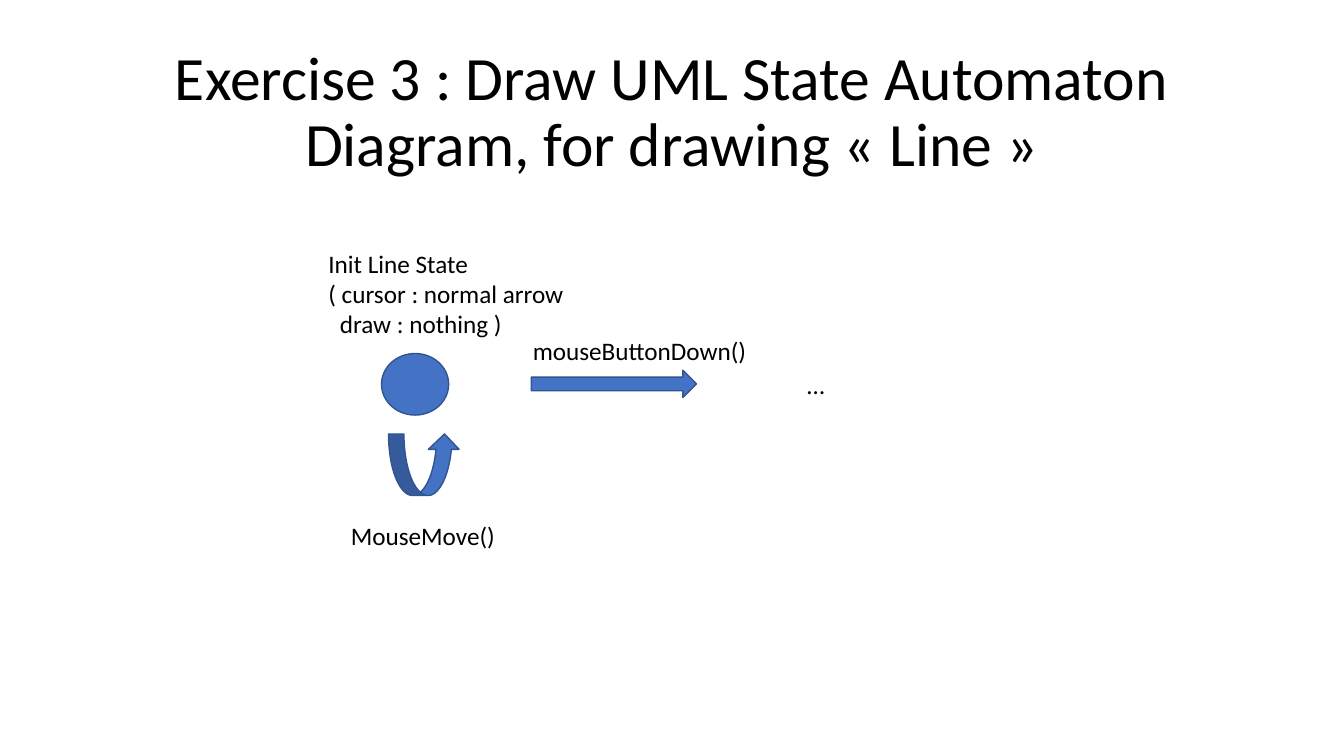
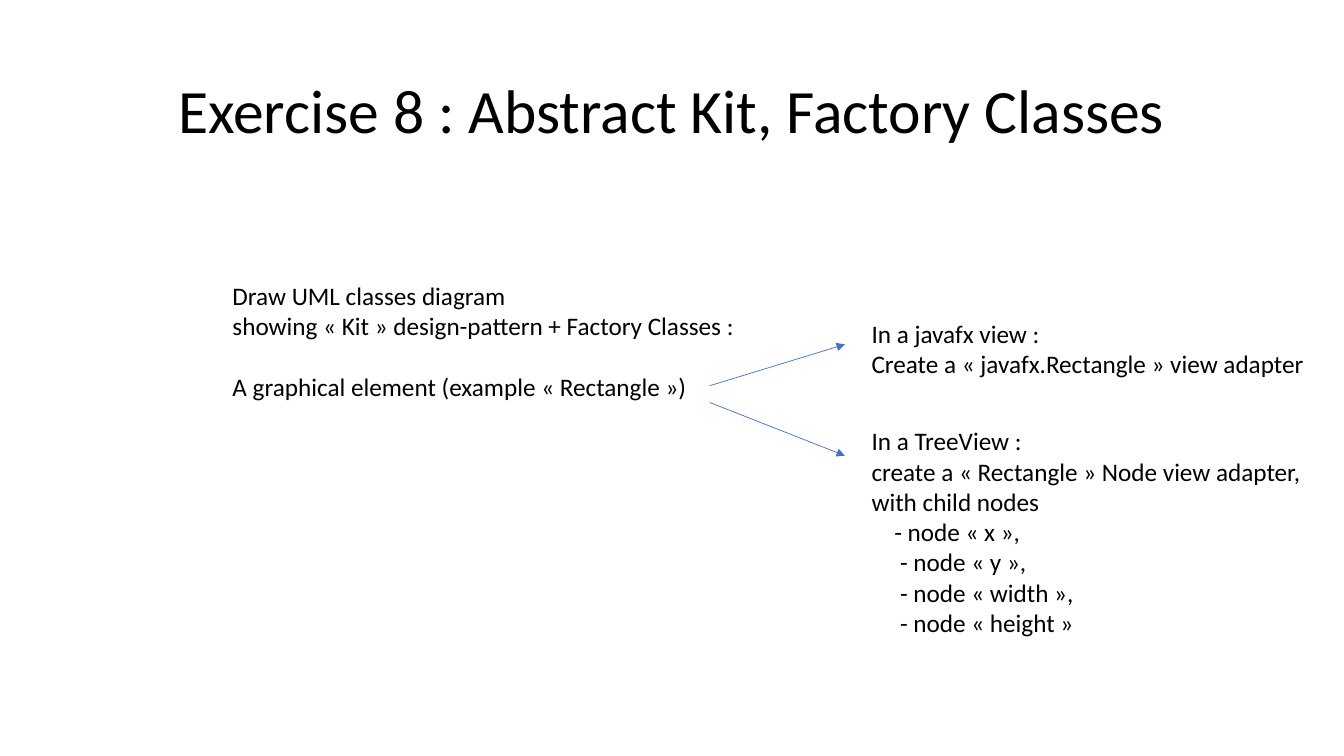
import pptx
import pptx.util
import pptx.dml.color
import pptx.enum.shapes
import pptx.enum.text
import pptx.oxml
import pptx.oxml.ns

Pt = pptx.util.Pt
FORMS = pptx.enum.shapes.MSO_SHAPE
FONT = "Calibri"
INK = "000000"
BLUE = "4472C4"
EDGE = "325491"
LINE = 22
SPACE = 4.07


def paint(part, hue):
    part.rgb = pptx.dml.color.RGBColor.from_string(hue)


def style(para, size):
    for run in para.runs:
        run.font.name = FONT
        run.font.size = Pt(size)
        paint(run.font.color, INK)


def start(deck, text):
    slide = deck.slides.add_slide(deck.slide_layouts[5])
    title = slide.shapes.title
    title.left, title.top, title.width, title.height = map(Pt, (66, 28.75, 828, 104.4))
    frame = title.text_frame
    frame.text = text
    frame.vertical_anchor = pptx.enum.text.MSO_ANCHOR.MIDDLE
    para = frame.paragraphs[0]
    para.alignment = pptx.enum.text.PP_ALIGN.CENTER
    para.line_spacing = 0.9
    style(para, 44)
    return slide


def label(slide, box, lines, indents={}, gaps={}):
    frame = slide.shapes.add_textbox(*map(Pt, box)).text_frame
    frame.word_wrap = True
    frame.text = "\n".join(lines)
    for row, para in enumerate(frame.paragraphs):
        style(para, 18)
        if row in indents:
            props = para._p.get_or_add_pPr()
            props.set("marL", str(Pt(indents[row] * SPACE)))
            props.set("indent", "0")
        if row in gaps:
            para.space_before = Pt(gaps[row])


def solid(slide, form, box):
    shape = slide.shapes.add_shape(form, *map(Pt, box))
    shape.shadow.inherit = False
    shape.fill.solid()
    paint(shape.fill.fore_color, BLUE)
    paint(shape.line.color, EDGE)
    shape.line.width = Pt(1)


def arrow(slide, x1, y1, x2, y2):
    kind = pptx.enum.shapes.MSO_CONNECTOR.STRAIGHT
    link = slide.shapes.add_connector(kind, *map(Pt, (x1, y1, x2, y2)))
    paint(link.line.color, BLUE)
    link.line.width = Pt(0.5)
    tip = pptx.oxml.parse_xml(
        "<a:tailEnd %s type='triangle'/>" % pptx.oxml.ns.nsdecls("a"))
    link.line._get_or_add_ln().append(tip)
    flat = pptx.oxml.parse_xml("<a:effectLst %s/>" % pptx.oxml.ns.nsdecls("a"))
    link._element.spPr.append(flat)


def states(slide, x, y):
    solid(slide, FORMS.OVAL, (x + 45, y + 79, 48, 44))
    solid(slide, FORMS.RIGHT_ARROW, (x + 152, y + 91, 118, 19.5))
    solid(slide, FORMS.CURVED_UP_ARROW, (x + 50, y + 136.5, 51, 44))
    label(slide, (x, y, 184.5, 72.7),
          ["Init Line State", "( cursor : normal arrow", "draw : nothing )"], {2: 2})
    label(slide, (x + 146, y + 62.5, 169.5, 29), ["mouseButtonDown()"])
    label(slide, (x + 342, y + 86.5, 27.5, 29), ["…"])
    label(slide, (x + 16, y + 194.5, 119, 29), ["MouseMove()"])


def classes(slide, x, y):
    label(slide, (x, y, 382, 116.6),
          ["Draw UML classes diagram",
           "showing «\u00a0Kit\u00a0» design-pattern + Factory Classes :",
           "A graphical element (example «\u00a0Rectangle\u00a0»)"], gaps={2: LINE})
    arrow(slide, x + 348, y + 79, x + 444.5, y + 49.5)
    arrow(slide, x + 348, y + 91, x + 444.5, y + 129)
    side = x + 456.5
    label(slide, (side, y + 27.5, 327, 72.7),
          ["In a javafx view :",
           "Create a «\u00a0javafx.Rectangle\u00a0» view adapter"])
    nodes = [f"- node «\u00a0{name}\u00a0»" for name in ("x", "y", "width", "height")]
    label(slide, (side, y + 104, 345.5, 160),
          ["In a TreeView :",
           "create a «\u00a0Rectangle\u00a0» Node view adapter,",
           "with child nodes"] + ",\n".join(nodes).split("\n"),
          {3: 4, 4: 5, 5: 5, 6: 5})


deck = pptx.Presentation()
deck.slide_width, deck.slide_height = Pt(960), Pt(540)
states(start(deck, "Exercise 3 : Draw UML State Automaton Diagram, "
                   "for drawing «\u00a0Line\u00a0»"), 227.5, 173.5)
classes(start(deck, "Exercise 8 : Abstract Kit, Factory Classes"), 159, 196.5)
deck.save("out.pptx")
